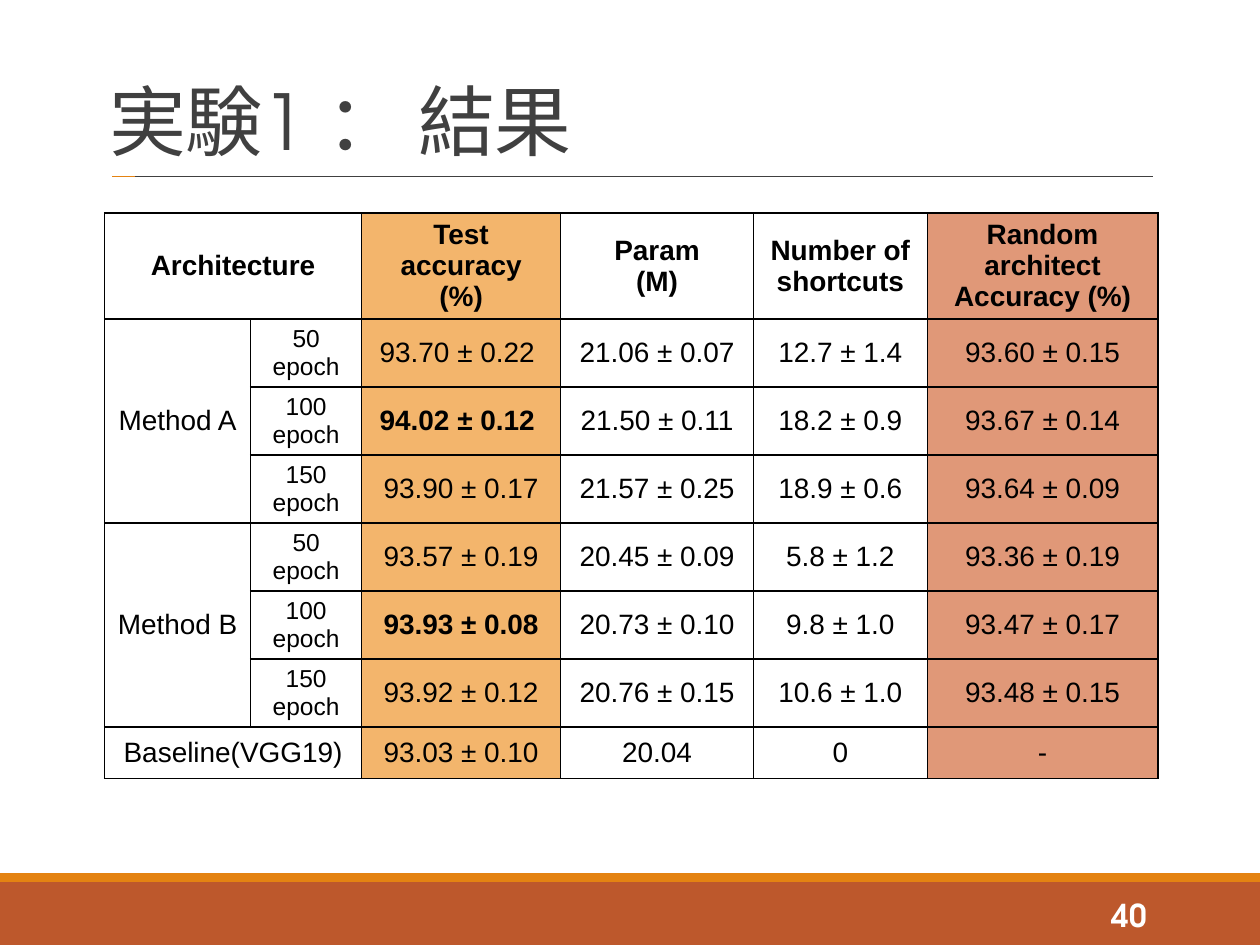
import pptx
import pptx.dml.color
import pptx.enum.shapes
import pptx.enum.text
import pptx.oxml
import pptx.oxml.ns
import pptx.util
from pptx.util import Inches

RGBColor = pptx.dml.color.RGBColor
Align = pptx.enum.text.PP_ALIGN
Anchor = pptx.enum.text.MSO_ANCHOR

BLACK = RGBColor(0x00, 0x00, 0x00)
WHITE = RGBColor(0xFF, 0xFF, 0xFF)
GREY = RGBColor(0x40, 0x40, 0x40)
ORANGE = RGBColor(0xE4, 0x83, 0x12)
RUST = RGBColor(0xBD, 0x58, 0x2C)
LIGHT_ORANGE = RGBColor(0xF3, 0xB5, 0x6C)
LIGHT_RUST = RGBColor(0xE0, 0x98, 0x78)

COLUMN_WIDTHS = [1.16, 0.88, 1.58, 1.53, 1.38, 1.83]
ROW_HEIGHTS = [0.84] + [0.54] * 6 + [0.41]
COLUMN_FILLS = {2: LIGHT_ORANGE, 5: LIGHT_RUST}
BEST_CELLS = {(2, 2), (5, 2)}
# First row, first column, last row, last column
MERGES = [(0, 0, 0, 1), (1, 0, 3, 0), (4, 0, 6, 0), (7, 0, 7, 1)]
RESULTS = [
    ["Architecture", "", "Test accuracy\n(%)", "Param\n(M)", "Number of shortcuts",
     "Random architect\nAccuracy (%)"],
    ["Method A", "50 epoch", "93.70 ± 0.22 ", "21.06 ± 0.07", "12.7 ± 1.4", "93.60 ± 0.15"],
    ["", "100 epoch", "94.02 ± 0.12 ", "21.50 ± 0.11", "18.2 ± 0.9", "93.67 ± 0.14"],
    ["", "150 epoch", "93.90 ± 0.17", "21.57 ± 0.25", "18.9 ± 0.6", "93.64 ± 0.09"],
    ["Method B", "50 epoch", "93.57 ± 0.19", "20.45 ± 0.09", "5.8 ± 1.2", "93.36 ± 0.19"],
    ["", "100 epoch", "93.93 ± 0.08", "20.73 ± 0.10", "9.8 ± 1.0", "93.47 ± 0.17"],
    ["", "150 epoch", "93.92 ± 0.12", "20.76 ± 0.15", "10.6 ± 1.0", "93.48 ± 0.15"],
    ["Baseline(VGG19)", "", "93.03 ± 0.10", "20.04", "0", "-"],
]


class SlideBuilder:
    heading_font = "TeX Gyre Adventor"
    table_font = "Arial"

    def __init__(self, slide):
        self.slide = slide

    def format(self, paragraph, name, size, color, bold, alignment):
        paragraph.alignment = alignment
        font = paragraph.font
        font.name = name
        font.size = pptx.util.Pt(size)
        font.color.rgb = color
        font.bold = bold

    def bar(self, top, height, color):
        shape = self.slide.shapes.add_shape(
            pptx.enum.shapes.MSO_SHAPE.RECTANGLE,
            0, Inches(top), Inches(10), Inches(height))
        shape.shadow.inherit = False
        shape.fill.solid()
        shape.fill.fore_color.rgb = color
        shape.line.fill.background()

    def rule(self, left, right, y, color):
        connector = self.slide.shapes.add_connector(
            pptx.enum.shapes.MSO_CONNECTOR.STRAIGHT,
            Inches(left), Inches(y), Inches(right), Inches(y))
        connector.line.color.rgb = color
        connector.line.width = pptx.util.Pt(1)
        properties = connector._element.spPr
        properties.append(properties.makeelement(pptx.oxml.ns.qn("a:effectLst"), {}))

    def title(self, text, left, top, width, height):
        shape = self.slide.shapes.title
        shape.left, shape.top = Inches(left), Inches(top)
        shape.width, shape.height = Inches(width), Inches(height)
        frame = shape.text_frame
        frame.text = text
        frame.vertical_anchor = Anchor.BOTTOM
        paragraph = frame.paragraphs[0]
        paragraph.line_spacing = 0.85
        self.format(paragraph, self.heading_font, 44, GREY, False, Align.LEFT)
        paragraph.runs[0]._r.get_or_add_rPr().set("spc", "-50")

    def page_number(self, text, left, top, width, height):
        box = self.slide.shapes.add_textbox(
            Inches(left), Inches(top), Inches(width), Inches(height))
        frame = box.text_frame
        frame.word_wrap = True
        frame.vertical_anchor = Anchor.MIDDLE
        frame.text = text
        self.format(frame.paragraphs[0], self.heading_font, 18, WHITE, True, Align.RIGHT)

    def borders(self, cell):
        properties = cell._tc.get_or_add_tcPr()
        for index, side in enumerate(("lnL", "lnR", "lnT", "lnB")):
            properties.insert(index, pptx.oxml.parse_xml(
                f'<a:{side} {pptx.oxml.ns.nsdecls("a")} w="12700"><a:solidFill>'
                f'<a:srgbClr val="{BLACK}"/></a:solidFill></a:{side}>'))

    def table(self, left, top):
        table = self.slide.shapes.add_table(
            len(ROW_HEIGHTS), len(COLUMN_WIDTHS), Inches(left), Inches(top),
            Inches(sum(COLUMN_WIDTHS)), Inches(sum(ROW_HEIGHTS))).table
        table.first_row = table.horz_banding = False
        for column, width in zip(table.columns, COLUMN_WIDTHS):
            column.width = Inches(width)
        for row, height in zip(table.rows, ROW_HEIGHTS):
            row.height = Inches(height)
        for first_row, first_column, last_row, last_column in MERGES:
            table.cell(first_row, first_column).merge(table.cell(last_row, last_column))

        for row, texts in enumerate(RESULTS):
            for column, text in enumerate(texts):
                cell = table.cell(row, column)
                if column in COLUMN_FILLS:
                    cell.fill.solid()
                    cell.fill.fore_color.rgb = COLUMN_FILLS[column]
                else:
                    cell.fill.background()
                self.borders(cell)
                cell.vertical_anchor = Anchor.MIDDLE
                cell.text = text
                size = 14 if column == 1 else 16
                bold = row == 0 or (row, column) in BEST_CELLS
                for paragraph in cell.text_frame.paragraphs:
                    self.format(paragraph, self.table_font, size, BLACK, bold, Align.CENTER)


def main():
    presentation = pptx.Presentation()
    presentation.slide_width, presentation.slide_height = Inches(10), Inches(7.5)
    title_only = presentation.slide_layouts[5]
    builder = SlideBuilder(presentation.slides.add_slide(title_only))

    # Footer bars and title rule
    builder.bar(7, 0.5, RUST)
    builder.bar(6.93, 0.07, ORANGE)
    builder.rule(1.07, 9.15, 1.4, GREY)
    builder.rule(0.89, 1.07, 1.4, ORANGE)

    # Content
    builder.title("実験1 ： 結果", 0.77, 0.25, 8.38, 1.12)
    builder.table(0.83, 1.69)
    builder.page_number("40", 8.12, 7.06, 1.08, 0.4)

    presentation.save("out.pptx")


if __name__ == "__main__":
    main()
